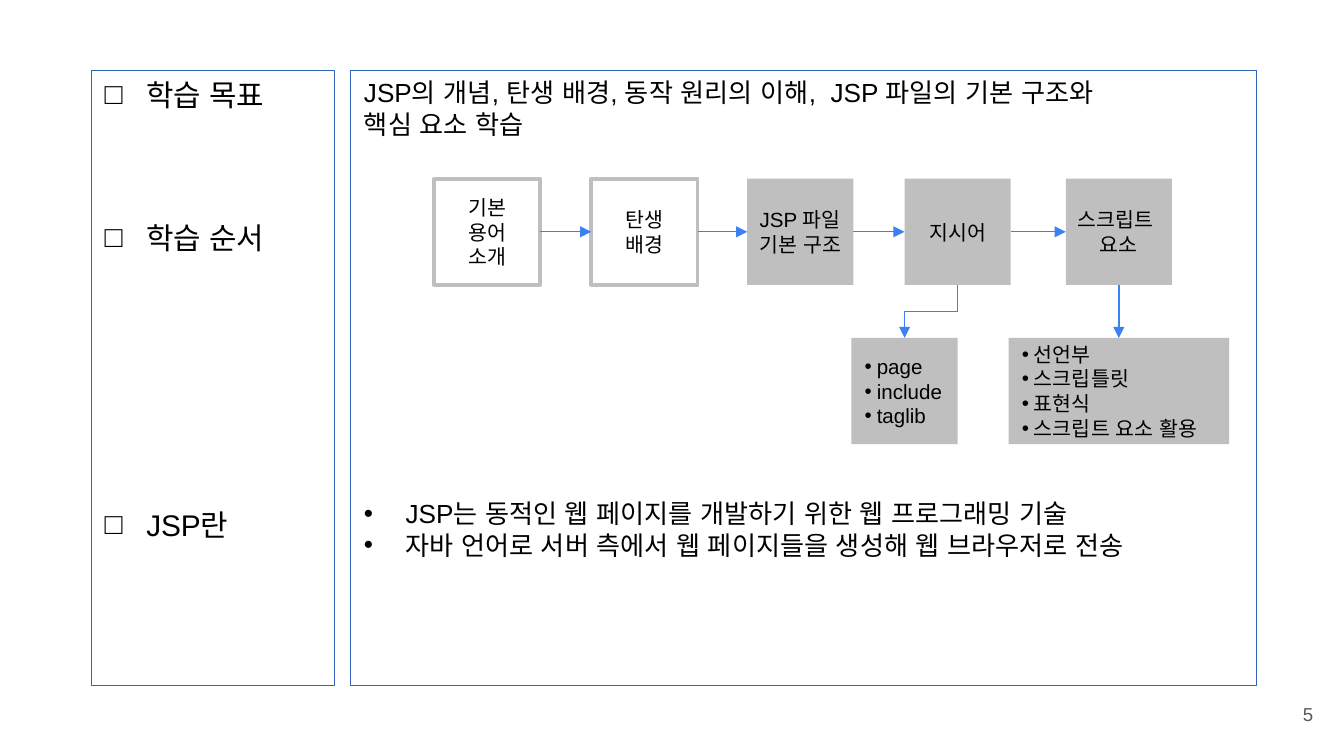
from lxml import etree
from pptx import Presentation
from pptx import util as u
from pptx.dml.color import RGBColor
from pptx.enum import shapes, text
from pptx.oxml.ns import qn

THEME = dict(font="Arial", ink="000000", muted="595959", frame="3162B5",
             grey="BFBFBF", white="FFFFFF", arrow="3C81F3",
             label=16, body=14, box=11, page=10)

# Paragraphs: (text, bullet, blank rows above)
LABELS = [("학습 목표", "□", 0), ("학습 순서", "□", 3), ("JSP란", "□", 7)]
BODY = [
    ("JSP의 개념, 탄생 배경, 동작 원리의 이해,  JSP 파일의 기본 구조와 \n핵심 요소 학습", None, 0),
    ("JSP는 동적인 웹 페이지를 개발하기 위한 웹 프로그래밍 기술", "•", 10),
    ("자바 언어로 서버 측에서 웹 페이지들을 생성해 웹 브라우저로 전송", "•", 0),
]
# Steps: (text, left, already covered)
STEPS = [("기본\n용어\n소개", 3.23, True), ("탄생\n배경", 4.4, True),
         ("JSP 파일\n기본 구조", 5.56, False), ("지시어", 6.73, False),
         ("스크립트 \n요소", 7.93, False)]
# Details: (step index, items, width, centre shift in box sides)
DETAILS = [(3, ["page", "include", "taglib"], 0.79, -0.5),
           (4, ["선언부", "스크립틀릿", "표현식", "스크립트 요소 활용"], 1.64, 0)]
PAGE = "5"

WIDTH = 10
HEIGHT = WIDTH * 9 / 16
PANEL_TOP, PANEL_HEIGHT = 0.52, 4.58
SIDE, STEP_TOP = 0.79, 1.33
DETAIL_TOP = STEP_TOP + 1.5 * SIDE
BLANK_ROW = 19.2  # points
PANEL_INDENT, BOX_INDENT = 0.31, 0.09


def rgb(name):
    return RGBColor.from_string(THEME[name])


def add_bullet(p, char, indent):
    pPr = p._p.get_or_add_pPr()
    pPr.set("marL", str(u.Inches(indent)))
    pPr.set("indent", str(-u.Inches(indent)))
    colour = etree.SubElement(pPr, qn("a:buClr"))
    etree.SubElement(colour, qn("a:srgbClr"), val=THEME["ink"])
    etree.SubElement(pPr, qn("a:buFont"), typeface=THEME["font"])
    etree.SubElement(pPr, qn("a:buChar"), char=char)


def write(sp, paragraphs, size, align, anchor, indent=0, wrap=True, ink="ink"):
    tf = sp.text_frame
    tf.word_wrap = wrap
    tf.vertical_anchor = anchor
    for i, (content, bullet, rows) in enumerate(paragraphs):
        p = tf.add_paragraph() if i else tf.paragraphs[0]
        p.alignment = align
        if rows:
            p.space_before = u.Pt(rows * BLANK_ROW)
        if bullet:
            add_bullet(p, bullet, indent)
        for j, line in enumerate(content.split("\n")):
            if j:
                p.add_line_break()
            r = p.add_run()
            r.text = line
            r.font.name, r.font.size = THEME["font"], u.Pt(THEME[size])
            r.font.color.rgb = rgb(ink)
            etree.SubElement(r._r.get_or_add_rPr(), qn("a:ea"), typeface=THEME["font"])


def add_rect(s, x, y, w, h, fill=None, line=None, weight=0.25):
    sp = s.shapes.add_shape(shapes.MSO_SHAPE.RECTANGLE, *map(u.Inches, (x, y, w, h)))
    sp.shadow.inherit = False
    if fill:
        sp.fill.solid()
        sp.fill.fore_color.rgb = rgb(fill)
    else:
        sp.fill.background()
    if line:
        sp.line.color.rgb = rgb(line)
        sp.line.width = u.Pt(weight)
    else:
        sp.line.fill.background()
    return sp


def add_arrow(s, start, start_side, end, end_side, bent=False):
    kind = shapes.MSO_CONNECTOR.ELBOW if bent else shapes.MSO_CONNECTOR.STRAIGHT
    c = s.shapes.add_connector(kind, 0, 0, 0, 0)
    c.begin_connect(start, start_side)
    c.end_connect(end, end_side)
    if bent:  # a quarter turn makes the square elbow leave downwards
        xfrm = c._element.spPr.find(qn("a:xfrm"))
        xfrm.attrib.pop("flipH", None)
        xfrm.set("rot", "5400000")
    c.line.color.rgb = rgb("arrow")
    c.line.width = u.Pt(0.75)
    etree.SubElement(c.line._get_or_add_ln(), qn("a:tailEnd"), type="triangle")
    etree.SubElement(c._element.spPr, qn("a:effectLst"))


def main():
    prs = Presentation()
    prs.slide_width, prs.slide_height = u.Inches(WIDTH), u.Inches(HEIGHT)
    s = prs.slides.add_slide(prs.slide_layouts[6])
    left, centre, right = text.PP_ALIGN.LEFT, text.PP_ALIGN.CENTER, text.PP_ALIGN.RIGHT
    top, middle = text.MSO_ANCHOR.TOP, text.MSO_ANCHOR.MIDDLE

    number = s.shapes.add_textbox(*map(u.Inches, (9.27, 5.1, 0.6, 0.43)))
    write(number, [(PAGE, None, 0)], "page", right, middle, ink="muted")

    for x, w, paragraphs, size in [(0.68, 1.81, LABELS, "label"), (2.61, 6.74, BODY, "body")]:
        panel = add_rect(s, x, PANEL_TOP, w, PANEL_HEIGHT, line="frame")
        write(panel, paragraphs, size, left, top, PANEL_INDENT)

    steps = []
    for content, x, covered in STEPS:
        look = dict(fill="white", line="grey", weight=2) if covered else dict(fill="grey")
        box = add_rect(s, x, STEP_TOP, SIDE, SIDE, **look)
        write(box, [(content, None, 0)], "box", centre, middle, wrap=False)
        steps.append(box)
    for start, end in zip(steps, steps[1:]):
        add_arrow(s, start, 3, end, 1)

    for index, items, w, shift in DETAILS:
        x = STEPS[index][1] + SIDE / 2 + shift * SIDE - w / 2
        box = add_rect(s, x, DETAIL_TOP, w, SIDE, fill="grey")
        write(box, [(item, "•", 0) for item in items], "box", left, middle,
              BOX_INDENT, wrap=False)
        add_arrow(s, steps[index], 2, box, 0, bent=bool(shift))

    prs.save("out.pptx")


if __name__ == "__main__":
    main()
